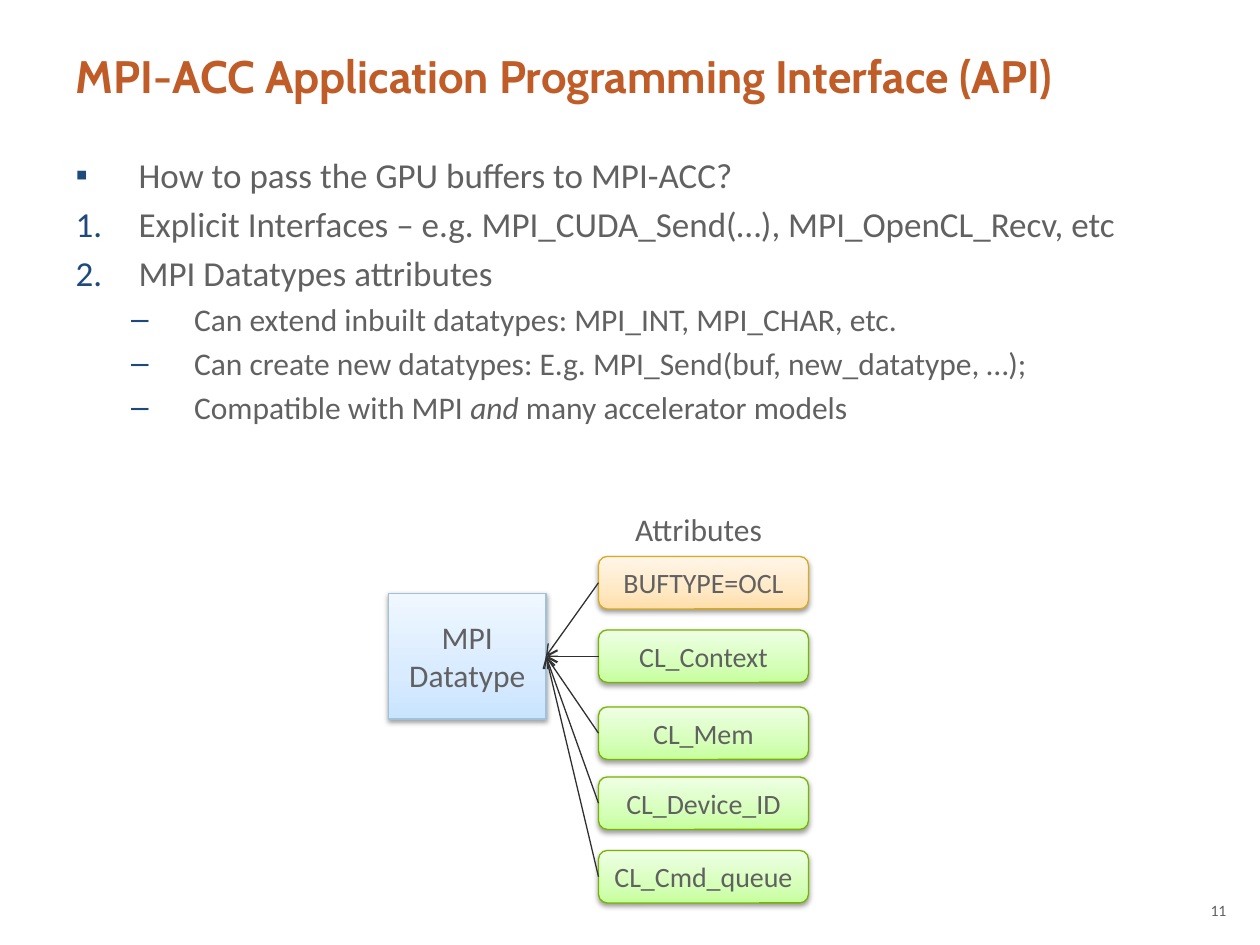
from lxml import etree
from copy import deepcopy
from pptx import Presentation
from pptx import util as u
from pptx.dml.color import RGBColor
from pptx.enum import shapes, text
from pptx.oxml.ns import qn

ORANGE = RGBColor(0xBF, 0x5C, 0x28)
GREY = RGBColor(0x61, 0x61, 0x61)
NAVY = RGBColor(0x1F, 0x49, 0x7D)
DARK = RGBColor(0x30, 0x30, 0x30)
BLACK = RGBColor(0, 0, 0)
BLUE_BOX = (RGBColor(0xA1, 0xC0, 0xDA), ("C9E4FF", "D8EBFF", "F0F7FF"))
GREEN_BOX = (RGBColor(0x77, 0xB4, 0x00), ("C6FF9D", "D6FFBA", "EFFFE5"))
AMBER_BOX = (RGBColor(0xD8, 0xAA, 0x23), ("FFDFAB", "FFE8C4", "FFF6E9"))
GRADIENT_STOPS = (0, 0.35, 1)

TITLE = "MPI-ACC Application Programming Interface (API)"
BODY = [
    (0, "▪", ["How to pass the GPU buffers to MPI-ACC?"]),
    (0, "1.", ["Explicit Interfaces – e.g. MPI_CUDA_Send(…), MPI_OpenCL_Recv, etc"]),
    (0, "1.", ["MPI Datatypes attributes"]),
    (1, "–", ["Can extend inbuilt datatypes: MPI_INT, MPI_CHAR, etc."]),
    (1, "–", ["Can create new datatypes: E.g. MPI_Send(buf, new_datatype, …);"]),
    (1, "–", ["Compatible with MPI ", "and", " many accelerator models"]),
]
LEVELS = [(20, 0.5), (18, 0.94)]
ATTRIBUTES = [
    ("BUFTYPE=OCL", 53, AMBER_BOX),
    ("CL_Context", 60, GREEN_BOX),
    ("CL_Mem", 67.33, GREEN_BOX),
    ("CL_Device_ID", 74, GREEN_BOX),
    ("CL_Cmd_queue", 81, GREEN_BOX),
]
LEFT_SITE, RIGHT_SITE = 1, 3

presentation = Presentation()
presentation.slide_width, presentation.slide_height = u.Inches(10), u.Inches(7.5)
COLUMN = presentation.slide_width / 120
ROW = presentation.slide_height / 90
slide = presentation.slides.add_slide(presentation.slide_layouts[1])


def cell(left, top, width, height):
    return [round(n) for n in (left * COLUMN, top * ROW, width * COLUMN, height * ROW)]


def place(shape, *area):
    shape.left, shape.top, shape.width, shape.height = cell(*area)
    shape.text_frame.auto_size = text.MSO_AUTO_SIZE.NONE
    shape.text_frame.vertical_anchor = text.MSO_ANCHOR.TOP


def style(paragraph, size, color=GREY, name="Calibri"):
    paragraph.font.size = u.Pt(size)
    paragraph.font.name = name
    paragraph.font.color.rgb = color


def add_bullet(paragraph, marker, indent):
    properties = paragraph._p.get_or_add_pPr()
    properties.set("marL", str(u.Inches(indent)))
    properties.set("indent", str(-u.Inches(0.5)))
    color = etree.SubElement(properties, qn("a:buClr"))
    etree.SubElement(color, qn("a:srgbClr"), val=str(NAVY))
    if marker == "1.":
        etree.SubElement(properties, qn("a:buFont"), typeface="+mj-lt")
        etree.SubElement(properties, qn("a:buAutoNum"), type="arabicPeriod")
    else:
        etree.SubElement(properties, qn("a:buFont"), typeface="Arial")
        etree.SubElement(properties, qn("a:buChar"), char=marker)


def add_shadow(shape):
    shape.shadow.inherit = False
    effects = shape._element.spPr.find(qn("a:effectLst"))
    shadow = etree.SubElement(effects, qn("a:outerShdw"), blurRad=str(u.Pt(3.1)),
                              dist=str(u.Pt(1.6)), dir="5400000", rotWithShape="0")
    color = etree.SubElement(shadow, qn("a:srgbClr"), val=str(BLACK))
    etree.SubElement(color, qn("a:alpha"), val="38000")


def add_box(kind, label, size, look, *area):
    shape = slide.shapes.add_shape(kind, *cell(*area))
    line_color, colors = look
    shape.fill.gradient()
    shape.fill.gradient_angle = 90
    stop_list = shape._element.spPr.find(qn("a:gradFill")).find(qn("a:gsLst"))
    stop_list.append(deepcopy(stop_list[0]))
    for stop, position, color in zip(shape.fill.gradient_stops, GRADIENT_STOPS, colors):
        stop.position = position
        stop.color.rgb = RGBColor.from_string(color)
    shape.line.color.rgb = line_color
    shape.line.width = u.Pt(0.75)
    add_shadow(shape)
    frame = shape.text_frame
    frame.text = label
    frame.vertical_anchor = text.MSO_ANCHOR.MIDDLE
    frame.paragraphs[0].alignment = text.PP_ALIGN.CENTER
    style(frame.paragraphs[0], size)
    return shape


def add_arrow(source, target):
    arrow = slide.shapes.add_connector(shapes.MSO_CONNECTOR.STRAIGHT, 0, 0, 0, 0)
    arrow.begin_connect(source, LEFT_SITE)
    arrow.end_connect(target, RIGHT_SITE)
    arrow.line.color.rgb = DARK
    arrow.line.width = u.Pt(0.75)
    etree.SubElement(arrow.line._get_or_add_ln(), qn("a:tailEnd"), type="arrow")
    etree.SubElement(arrow._element.spPr, qn("a:effectLst"))


def add_label(label, size, alignment, *area):
    box = slide.shapes.add_textbox(*cell(*area))
    box.text_frame.text = label
    box.text_frame.paragraphs[0].alignment = alignment
    style(box.text_frame.paragraphs[0], size)


title = slide.shapes.title
place(title, 6, 4, 108, 10)
title.text_frame.text = TITLE
heading = title.text_frame.paragraphs[0]
heading.alignment = text.PP_ALIGN.LEFT
style(heading, 26, ORANGE, "Cabin")
heading.font.bold = True

body = slide.placeholders[1]
place(body, 6, 14, 108, 32)
for index, (level, marker, parts) in enumerate(BODY):
    frame = body.text_frame
    paragraph = frame.add_paragraph() if index else frame.paragraphs[0]
    size, indent = LEVELS[level]
    paragraph.level = level
    add_bullet(paragraph, marker, indent)
    paragraph.space_before = u.Pt(size * 0.2 if index else 0)
    style(paragraph, size)
    for position, part in enumerate(parts):
        run = paragraph.add_run()
        run.text = part
        if position == 1:
            run.font.italic = True

datatype = add_box(shapes.MSO_SHAPE.RECTANGLE, "MPI Datatype", 18, BLUE_BOX, 37, 56.5, 15, 12)
add_label("Attributes", 18, text.PP_ALIGN.LEFT, 59.3, 48, 14.8, 4.8)
for name, top, look in ATTRIBUTES:
    attribute = add_box(shapes.MSO_SHAPE.ROUNDED_RECTANGLE, name, 16, look, 57, top, 20, 5)
    add_arrow(attribute, datatype)
add_label("11", 9, text.PP_ALIGN.RIGHT, 113, 85.2, 5, 4.8)

presentation.save("out.pptx")
